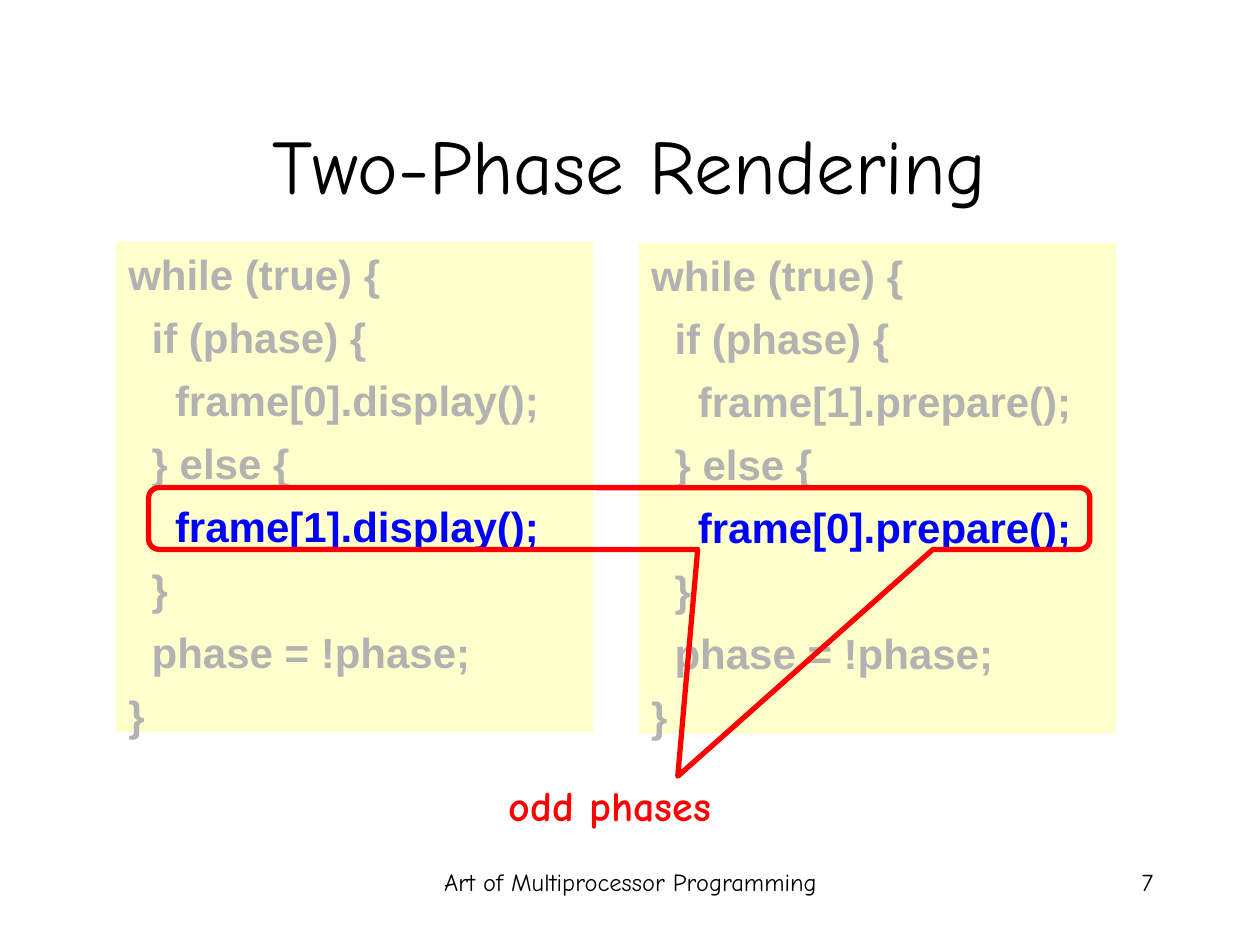
from pptx import Presentation
from pptx.dml.color import RGBColor
from pptx.enum.shapes import MSO_SHAPE
from pptx.enum.text import MSO_ANCHOR, PP_ALIGN
from pptx.util import Inches, Pt

RECTANGLE = MSO_SHAPE.RECTANGLE
CALLOUT = MSO_SHAPE.ROUNDED_RECTANGULAR_CALLOUT
TOP, MIDDLE = MSO_ANCHOR.TOP, MSO_ANCHOR.MIDDLE
LEFT, CENTER, RIGHT = PP_ALIGN.LEFT, PP_ALIGN.CENTER, PP_ALIGN.RIGHT
BODY_FONT, CODE_FONT = "Comic Neue", "Arial"
BLACK, RED, BLUE, GRAY, CREAM = "000000", "FF0000", "0000FF", "B2B2B2", "FFFFCC"
CODE_SIZE = 24
INDENT = Pt(13.34)
ACTIVE_LINE = 4


def color(value):
    return RGBColor.from_string(value)


def inches(box):
    return [Inches(length) for length in box]


def format_paragraph(paragraph, font_name, size, hex_color, bold, alignment):
    paragraph.alignment = alignment
    for run in paragraph.runs:
        run.font.name = font_name
        run.font.size = Pt(size)
        run.font.bold = bold
        run.font.color.rgb = color(hex_color)


def add_label(slide, box, text, size, hex_color=BLACK, bold=False,
              alignment=CENTER, anchor=TOP):
    text_frame = slide.shapes.add_textbox(*inches(box)).text_frame
    text_frame.word_wrap = True
    text_frame.vertical_anchor = anchor
    text_frame.text = text
    format_paragraph(text_frame.paragraphs[0], BODY_FONT, size, hex_color, bold, alignment)


def add_code_panel(slide, box, action, first_frame):
    shape = slide.shapes.add_shape(RECTANGLE, *inches(box))
    shape.shadow.inherit = False
    shape.fill.solid()
    shape.fill.fore_color.rgb = color(CREAM)
    shape.line.fill.background()
    code_lines = [
        (0, "while (true) {"),
        (1, "if (phase) {"),
        (2, f"frame[{first_frame}].{action}();"),
        (1, "} else {"),
        (2, f"frame[{1 - first_frame}].{action}();"),
        (1, "}"),
        (1, "phase = !phase;"),
        (0, "}"),
    ]
    text_frame = shape.text_frame
    text_frame.word_wrap = True
    text_frame.vertical_anchor = TOP
    text_frame.text = "\n".join(text for level, text in code_lines)
    for index, paragraph in enumerate(text_frame.paragraphs):
        hex_color = BLUE if index == ACTIVE_LINE else GRAY
        format_paragraph(paragraph, CODE_FONT, CODE_SIZE, hex_color, True, LEFT)
        paragraph.space_before = Pt(7.2)
        paragraph._p.get_or_add_pPr().set("marL", str(code_lines[index][0] * INDENT))


def add_phase_callout(slide, box, tip):
    left, top, width, height = box
    shape = slide.shapes.add_shape(CALLOUT, *inches(box))
    shape.shadow.inherit = False
    shape.fill.background()
    shape.line.color.rgb = color(RED)
    shape.line.width = Pt(3)
    shape.adjustments[0] = (tip[0] - left) / width - 0.5
    shape.adjustments[1] = (tip[1] - top) / height - 0.5


def add_footer(slide, top, height):
    add_label(slide, (3.42, top, 3.17, height), "Art of Multiprocessor Programming", 14)
    add_label(slide, (7.17, top, 2.08, height), "7", 14, alignment=RIGHT)


def main():
    presentation = Presentation()
    presentation.slide_width, presentation.slide_height = Inches(10), Inches(7.5)
    slide = presentation.slides.add_slide(presentation.slide_layouts[6])
    add_footer(slide, 6.83, 0.5)
    add_label(slide, (0.75, 0.67, 8.5, 1.25), "Two-Phase Rendering", 44, anchor=MIDDLE)
    add_code_panel(slide, (0.92, 1.92, 3.79, 3.89), "display", 0)
    add_code_panel(slide, (5.07, 1.93, 3.79, 3.89), "prepare", 1)
    add_phase_callout(slide, (1.18, 3.87, 7.47, 0.49), (5.38, 6.16))
    add_label(slide, (1.24, 6.14, 7.2, 0.5), "odd phases", 24, RED, True)
    presentation.save("out.pptx")


if __name__ == "__main__":
    main()
